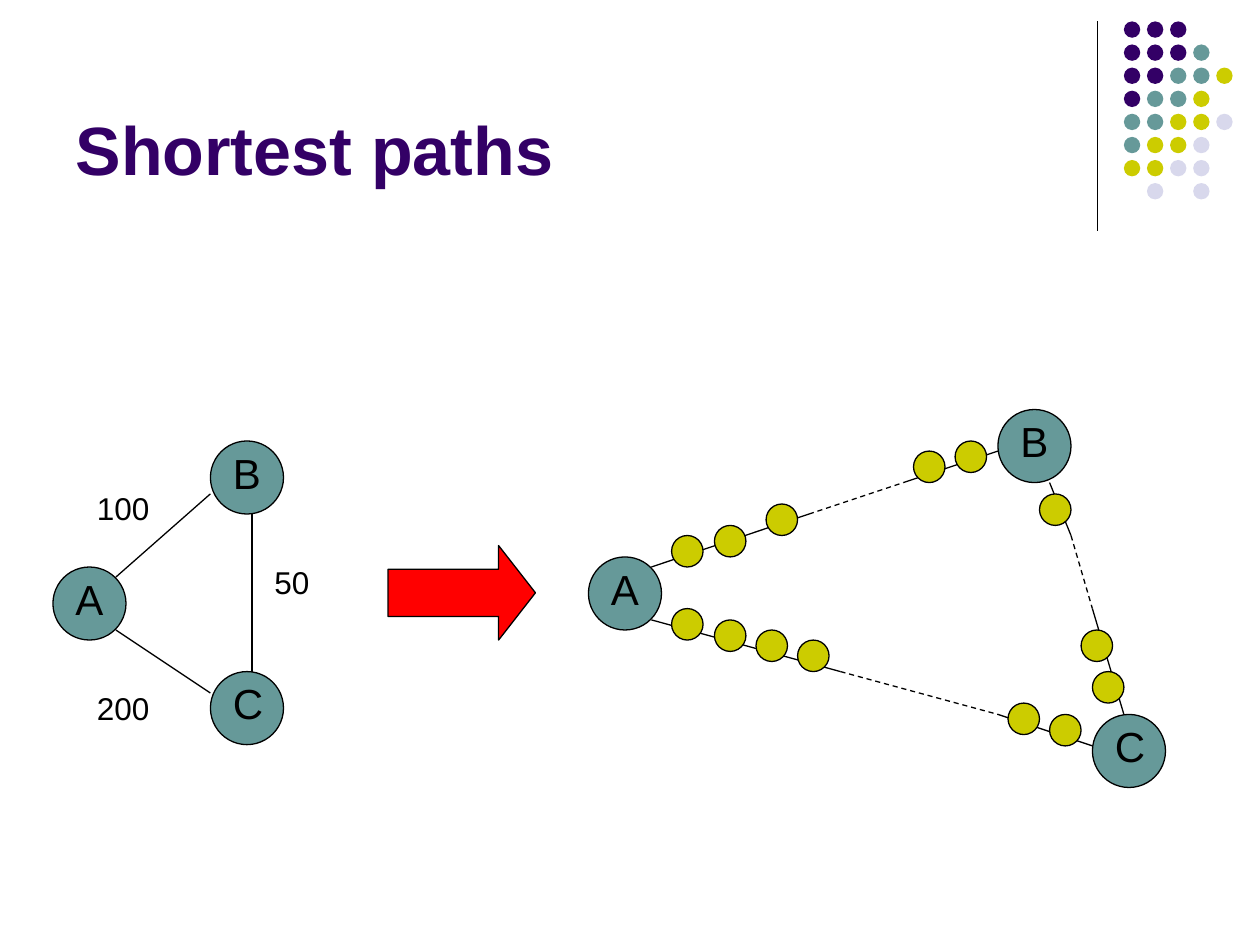
from lxml import etree
from pptx import Presentation
from pptx.dml.color import RGBColor
from pptx.enum.dml import MSO_LINE
from pptx.enum.shapes import MSO_CONNECTOR, MSO_SHAPE
from pptx.enum.text import MSO_ANCHOR, PP_ALIGN
from pptx.oxml.ns import qn
from pptx.util import Inches, Pt

STRAIGHT = MSO_CONNECTOR.STRAIGHT
ELLIPSE = MSO_SHAPE.OVAL
RIGHT_ARROW = MSO_SHAPE.RIGHT_ARROW
DASH = MSO_LINE.DASH
TOP, BOTTOM = MSO_ANCHOR.TOP, MSO_ANCHOR.BOTTOM
LEFT = PP_ALIGN.LEFT

BLACK = RGBColor(0x00, 0x00, 0x00)
PURPLE = RGBColor(0x33, 0x00, 0x66)
TEAL = RGBColor(0x66, 0x99, 0x99)
OLIVE = RGBColor(0xCC, 0xCC, 0x00)
LAVENDER = RGBColor(0xD8, 0xD8, 0xEC)
RED = RGBColor(0xFF, 0x00, 0x00)

# Corner ornament: one letter per dot, a space where there is none
DOT_COLORS = {"P": PURPLE, "T": TEAL, "O": OLIVE, "L": LAVENDER}
DOT_ROWS = ["PPP", "PPPT", "PPTTO", "PTTO", "TTOOL", "TOOL", "OOLL", " L L"]
DOT_PITCH = 0.55 / 3

NODE_SIZE = 0.58
STEP_SIZE = 0.25

WEIGHTED_NODES = [("A", 0.42, 4.5), ("B", 1.67, 3.5), ("C", 1.67, 5.33)]
WEIGHTED_EDGES = [
    ((0.92, 4.58), (1.67, 3.92)),
    ((0.92, 5), (1.67, 5.5)),
    ((2, 5.33), (2, 4.08)),
]
WEIGHTS = [("100", 0.67, 3.83, 0.83), ("50", 2.08, 4.42, 0.58), ("200", 0.67, 5.42, 1.17)]

UNIT_NODES = [("A", 4.67, 4.42), ("B", 7.92, 3.25), ("C", 8.67, 5.67)]
# Each edge is solid at both ends and dashed between its two middle points
UNIT_EDGES = [
    [(5.17, 4.5), (6.42, 4.08), (7.17, 3.83), (7.92, 3.58)],
    [(5.17, 4.92), (6.67, 5.33), (7.92, 5.67), (8.67, 5.92)],
    [(8.33, 3.83), (8.5, 4.25), (8.67, 4.83), (8.92, 5.67)],
]
STEPS = [
    (5.33, 4.25), (5.67, 4.17), (6.08, 4), (7.25, 3.58), (7.58, 3.5),
    (5.33, 4.83), (5.67, 4.92), (6, 5), (6.33, 5.08), (8, 5.58), (8.33, 5.67),
    (8.25, 3.92), (8.58, 5), (8.67, 5.33),
]


def write_text(frame, text, size=18, color=BLACK, bold=False, anchor=TOP):
    frame.word_wrap = True
    frame.vertical_anchor = anchor
    frame.margin_left = frame.margin_right = Inches(0.1)
    frame.margin_top = frame.margin_bottom = Inches(0.05)
    paragraph = frame.paragraphs[0]
    paragraph.alignment = LEFT
    run = paragraph.add_run()
    run.text = text
    run.font.name = "Arial"
    run.font.size = Pt(size)
    run.font.bold = bold
    run.font.color.rgb = color


class SlideBuilder:
    def __init__(self, slide, line_color=BLACK, line_width=0.75):
        self.slide = slide
        self.line_color = line_color
        self.line_width = Pt(line_width)

    def title(self, text, left, top, width, height):
        title = self.slide.shapes.title
        title.left, title.top = Inches(left), Inches(top)
        title.width, title.height = Inches(width), Inches(height)
        write_text(title.text_frame, text, size=39, color=PURPLE, bold=True, anchor=BOTTOM)

    def label(self, text, left, top, width, height, **text_format):
        box = self.slide.shapes.add_textbox(
            Inches(left), Inches(top), Inches(width), Inches(height))
        write_text(box.text_frame, text, **text_format)

    def shape(self, kind, left, top, width, height, fill, outlined=True):
        shape = self.slide.shapes.add_shape(
            kind, Inches(left), Inches(top), Inches(width), Inches(height))
        shape.shadow.inherit = False
        shape.fill.solid()
        shape.fill.fore_color.rgb = fill
        if outlined:
            shape.line.color.rgb = self.line_color
            shape.line.width = self.line_width
        else:
            shape.line.fill.background()
        return shape

    def circle(self, left, top, size, fill, outlined=True):
        self.shape(ELLIPSE, left, top, size, size, fill, outlined)

    def node(self, name, left, top):
        self.circle(left, top, NODE_SIZE, TEAL)
        self.label(name, left + 0.08, top, 0.5, 0.5, size=24)

    def line(self, start, end, dashed=False):
        points = [Inches(value) for value in (*start, *end)]
        connector = self.slide.shapes.add_connector(STRAIGHT, *points)
        connector.line.color.rgb = self.line_color
        connector.line.width = self.line_width
        if dashed:
            connector.line.dash_style = DASH
        etree.SubElement(connector._element.spPr, qn("a:effectLst"))

    def corner_ornament(self):
        self.line((8.71, 0.17), (8.71, 1.83))
        for row, letters in enumerate(DOT_ROWS):
            for column, letter in enumerate(letters):
                if letter in DOT_COLORS:
                    self.circle(8.92 + column * DOT_PITCH, 0.17 + row * DOT_PITCH,
                                0.13, DOT_COLORS[letter], outlined=False)

    def weighted_graph(self):
        for start, end in WEIGHTED_EDGES:
            self.line(start, end)
        for node in WEIGHTED_NODES:
            self.node(*node)
        for text, left, top, width in WEIGHTS:
            self.label(text, left, top, width, 0.4)

    def unit_graph(self):
        for points in UNIT_EDGES:
            for index, (start, end) in enumerate(zip(points, points[1:])):
                self.line(start, end, dashed=index == 1)
        for node in UNIT_NODES:
            self.node(*node)
        for left, top in STEPS:
            self.circle(left, top, STEP_SIZE, OLIVE)


def main():
    presentation = Presentation()
    presentation.slide_width = Inches(10)
    presentation.slide_height = Inches(7.5)
    title_only = presentation.slide_layouts[5]
    builder = SlideBuilder(presentation.slides.add_slide(title_only))

    builder.corner_ornament()
    builder.title("Shortest paths", 0.5, 0.13, 8.25, 1.42)
    builder.weighted_graph()
    arrow = builder.shape(RIGHT_ARROW, 3.08, 4.33, 1.17, 0.75, RED)
    arrow.adjustments[1] = 0.39
    builder.unit_graph()

    presentation.save("out.pptx")


if __name__ == "__main__":
    main()
